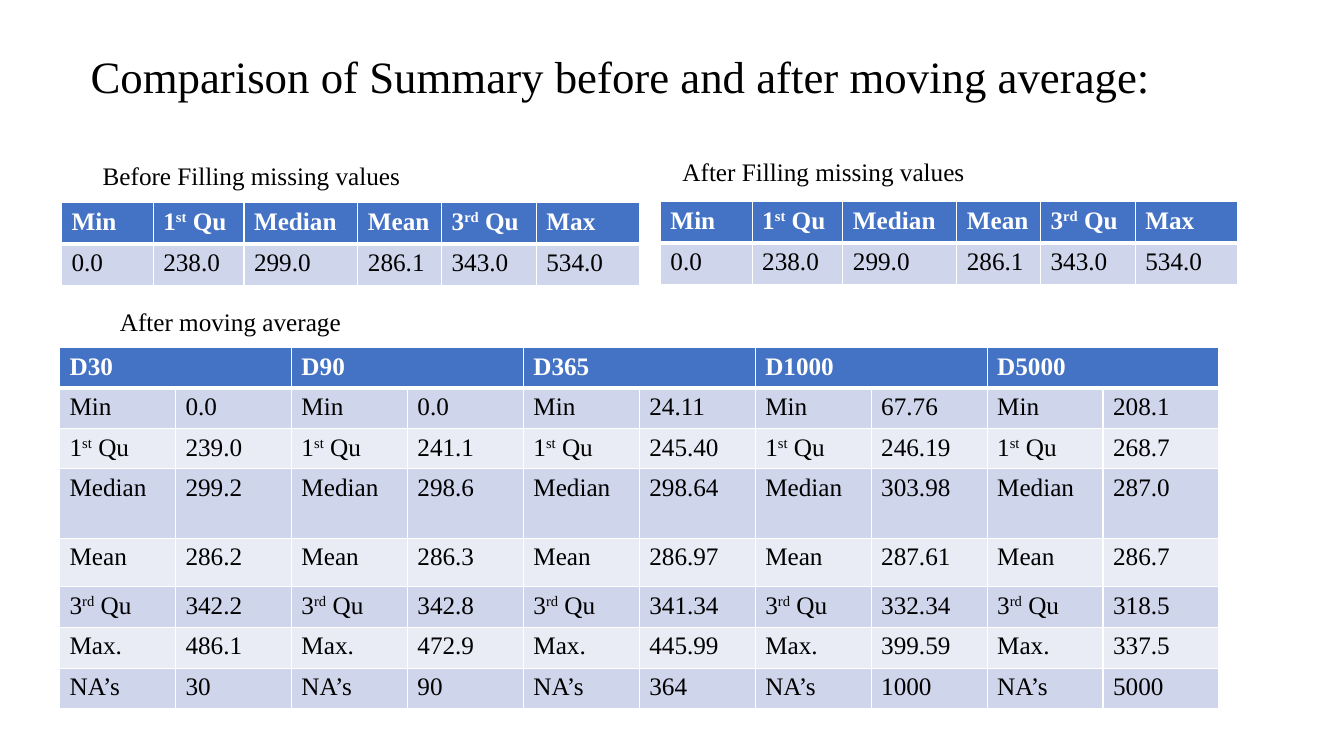
from lxml.etree import SubElement
from pptx import Presentation
from pptx.dml.color import RGBColor
from pptx.enum.text import MSO_ANCHOR
from pptx.oxml.ns import qn
from pptx.util import Inches, Pt

# Content: "^" marks the raised part of a label
TITLE = "Comparison of Summary before and after moving average:"
CAPTIONS = [
    ("Before Filling missing values", 0.92, 1.54),
    ("After Filling missing values", 6.67, 1.5),
    ("After moving average", 1.09, 2.99),
]
SUMMARY = [
    ["Min", "1^st^ Qu", "Median", "Mean", "3^rd^ Qu", "Max"],
    ["0.0", "238.0", "299.0", "286.1", "343.0", "534.0"],
]
SUMMARY_PLACES = [(0.61, 2.01), (6.55, 2.0)]
SUMMARY_COLS = [0.91, 0.9, 1.13, 0.83, 0.94, 1.02]
SUMMARY_ROWS = [0.41, 0.41]

WINDOWS = ["D30", "D90", "D365", "D1000", "D5000"]
STATISTICS = [
    ("Min", ["0.0", "0.0", "24.11", "67.76", "208.1"]),
    ("1^st^ Qu", ["239.0", "241.1", "245.40", "246.19", "268.7"]),
    ("Median", ["299.2", "298.6", "298.64", "303.98", "287.0"]),
    ("Mean", ["286.2", "286.3", "286.97", "287.61", "286.7"]),
    ("3^rd^ Qu", ["342.2", "342.8", "341.34", "332.34", "318.5"]),
    ("Max.", ["486.1", "472.9", "445.99", "399.59", "337.5"]),
    ("NA’s", ["30", "90", "364", "1000", "5000"]),
]
AVERAGE_PLACE = (0.59, 3.45)
AVERAGE_COLS = [1.15] * (2 * len(WINDOWS))
AVERAGE_ROWS = [0.4, 0.4, 0.4, 0.69, 0.48, 0.4, 0.41, 0.4]

FONT = "Times New Roman"
BLACK, WHITE, HEADER = "000000", "FFFFFF", "4472C4"
BANDS = ["CFD5EA", "E9EBF5"]


def color(value):
    return RGBColor.from_string(value)


def write(p, text, size=18, ink=BLACK, bold=False):
    for i, part in enumerate(text.split("^")):
        r = p.add_run()
        r.text = part
        r.font.name, r.font.size, r.font.bold = FONT, Pt(size), bold
        r.font.color.rgb = color(ink)
        if i % 2:
            r._r.get_or_add_rPr().set("baseline", "30000")


def add_text(s, text, left, top, width, height, size=18):
    tf = s.shapes.add_textbox(*map(Inches, (left, top, width, height))).text_frame
    tf.word_wrap = True
    write(tf.paragraphs[0], text, size)
    return tf


def add_borders(cell, header):
    # The edge below the header belongs to the header cells
    widths = {"L": 1, "R": 1, "T": 1, "B": 3} if header else {"L": 1, "R": 1, "B": 1}
    tc_pr = cell._tc.get_or_add_tcPr()
    for side, width in widths.items():
        ln = SubElement(tc_pr, qn("a:ln" + side), w=str(Pt(width)))
        SubElement(SubElement(ln, qn("a:solidFill")), qn("a:srgbClr"), val=WHITE)


def add_table(s, rows, place, col_widths, row_heights, span=1):
    size = sum(col_widths), sum(row_heights)
    table = s.shapes.add_table(len(row_heights), len(col_widths),
                               *map(Inches, place + size)).table
    for column, width in zip(table.columns, col_widths):
        column.width = Inches(width)
    for row, height in zip(table.rows, row_heights):
        row.height = Inches(height)
    for y, row in enumerate(rows):
        header = y == 0
        for x, text in enumerate(row):
            cell = table.cell(y, x)
            add_borders(cell, header)
            cell.fill.solid()
            cell.fill.fore_color.rgb = color(HEADER if header else BANDS[(y - 1) % 2])
            if text:
                write(cell.text_frame.paragraphs[0], text,
                      ink=WHITE if header else BLACK, bold=header)
    if span > 1:
        for x in range(0, len(col_widths), span):
            table.cell(0, x).merge(table.cell(0, x + span - 1))


prs = Presentation()
prs.slide_width, prs.slide_height = Inches(13.33), Inches(7.5)
s = prs.slides.add_slide(prs.slide_layouts[6])

# Title
tf = add_text(s, TITLE, 0.8, 0.06, 11.5, 1.45, size=32)
tf.vertical_anchor = MSO_ANCHOR.MIDDLE
tf.paragraphs[0].line_spacing = 0.9

# Summaries before and after filling
for place in SUMMARY_PLACES:
    add_table(s, SUMMARY, place, SUMMARY_COLS, SUMMARY_ROWS)

# Moving averages: a label and a value column for each window
average = [[text for window in WINDOWS for text in (window, "")]]
for label, values in STATISTICS:
    average.append([text for value in values for text in (label, value)])
add_table(s, average, AVERAGE_PLACE, AVERAGE_COLS, AVERAGE_ROWS, span=2)

# Captions
for text, left, top in CAPTIONS:
    add_text(s, text, left, top, 3.31, 0.4)

prs.save("out.pptx")
